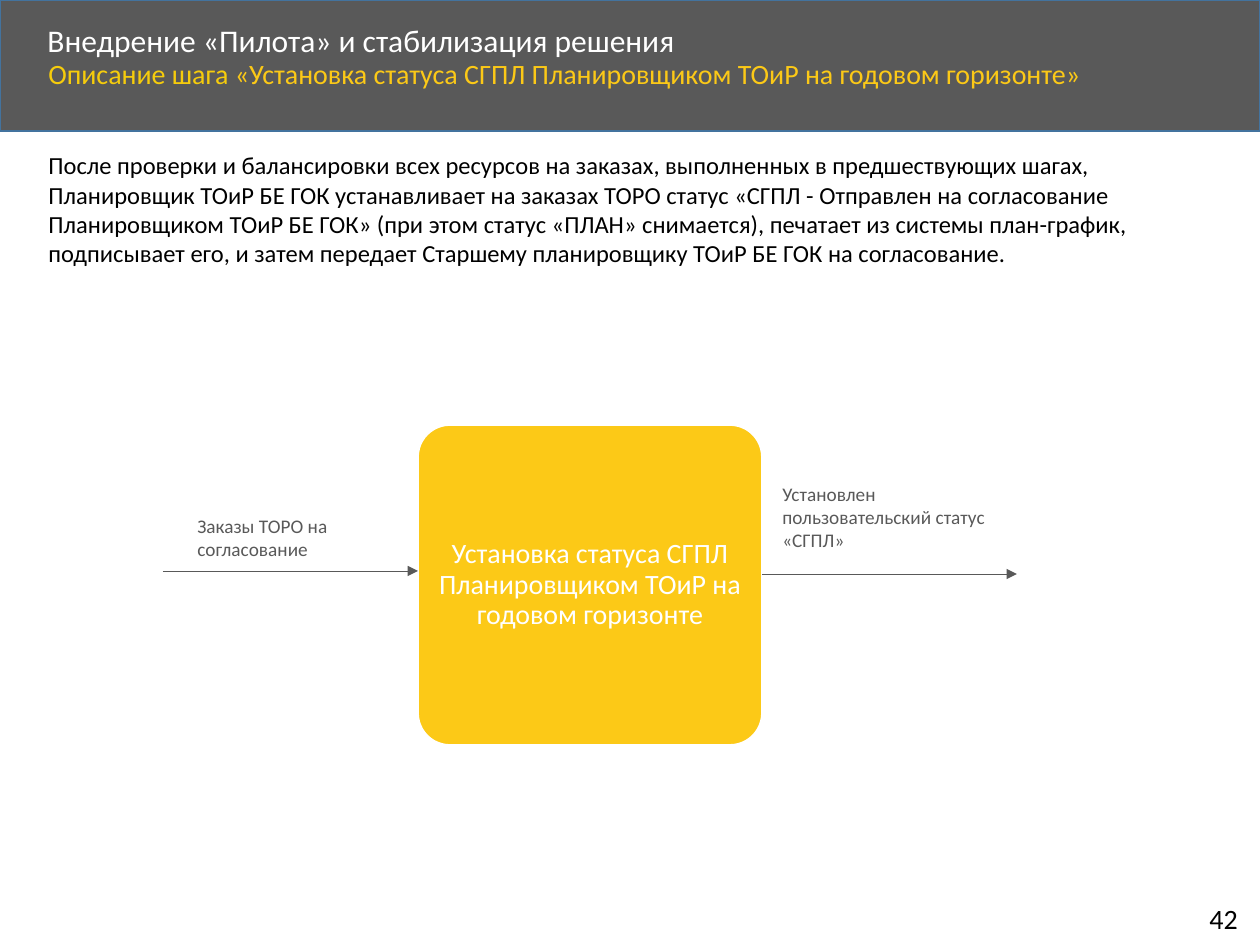
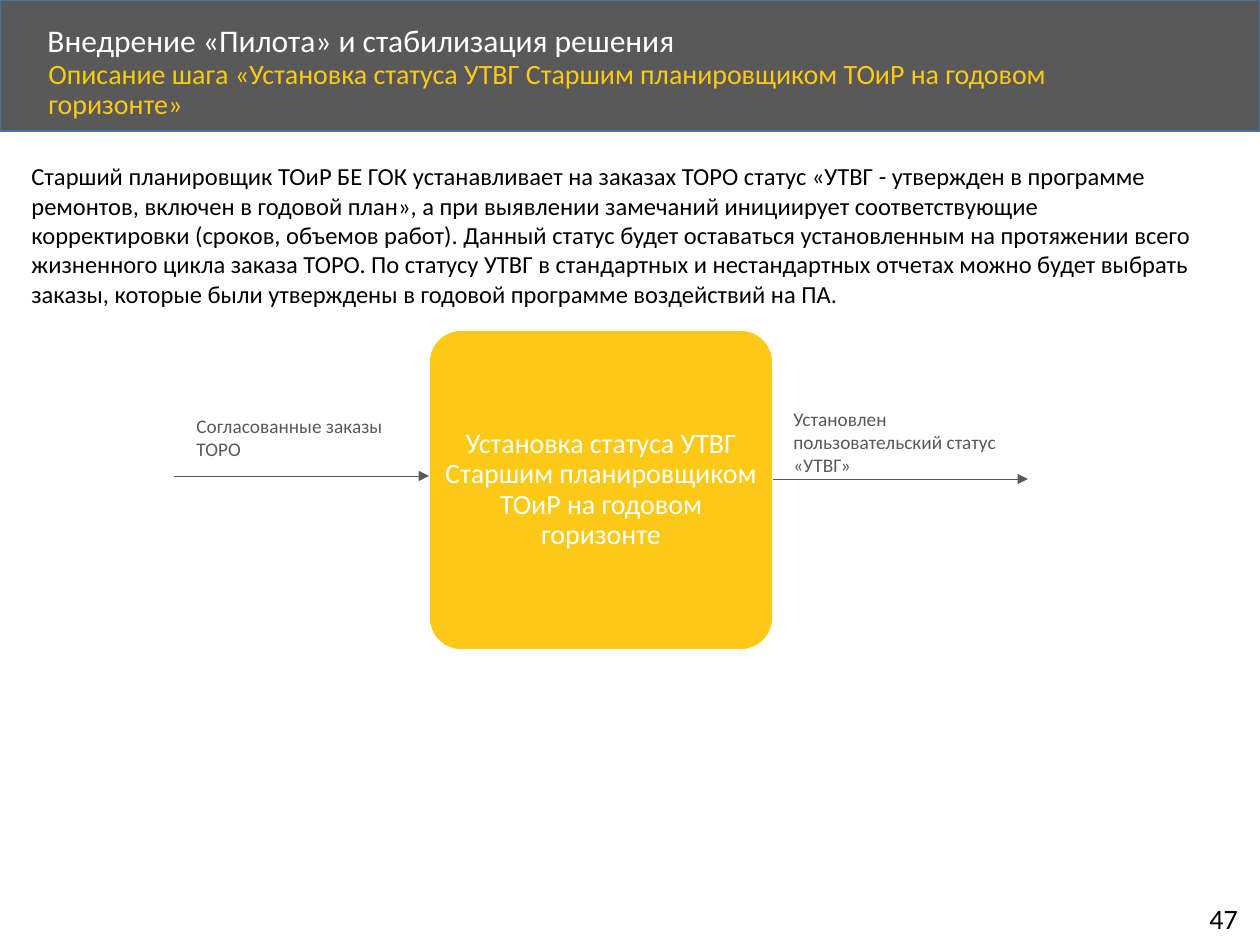
from lxml import etree
from pptx import Presentation
from pptx.dml.color import RGBColor
from pptx.enum import shapes, text
from pptx.oxml.ns import qn
from pptx.util import Emu, Pt

# Content: boxes are left, top, width, height in px
SECTION = "Внедрение «Пилота» и стабилизация решения"
SUBTITLE_LEAD = "Описание шага "
STEPS = [
    {
        "number": "42",
        "step": "Установка статуса СГПЛ Планировщиком ТОиР на годовом горизонте",
        "summary": "После проверки и балансировки всех ресурсов на заказах, выполненных в "
                   "предшествующих шагах, Планировщик ТОиР БЕ ГОК устанавливает на заказах "
                   "ТОРО статус «СГПЛ - Отправлен на согласование Планировщиком ТОиР БЕ ГОК» "
                   "(при этом статус «ПЛАН» снимается), печатает из системы план-график, "
                   "подписывает его, и затем передает Старшему планировщику ТОиР БЕ ГОК на "
                   "согласование.",
        "summary_box": (36, 144, 1192, 131),
        "card_at": (418, 425),
        "input": "Заказы ТОРО на согласование",
        "input_at": (185, 508),
        "output": "Установлен пользовательский статус «СГПЛ»",
        "output_top": 476,
    },
    {
        "number": "47",
        "step": "Установка статуса УТВГ Старшим планировщиком ТОиР на годовом горизонте",
        "summary": "Старший планировщик ТОиР БЕ ГОК устанавливает на заказах ТОРО статус "
                   "«УТВГ - утвержден в программе ремонтов, включен в годовой план», а при "
                   "выявлении замечаний инициирует соответствующие корректировки (сроков, "
                   "объемов работ). Данный статус будет оставаться установленным на протяжении "
                   "всего жизненного цикла заказа ТОРО. По статусу УТВГ в стандартных и "
                   "нестандартных отчетах можно будет выбрать заказы, которые были утверждены "
                   "в годовой программе воздействий на ПА.",
        "summary_box": (19, 155, 1192, 161),
        "card_at": (429, 330),
        "input": "Согласованные заказы ТОРО",
        "input_at": (184, 408),
        "output": "Установлен пользовательский статус «УТВГ»",
        "output_top": 401,
    },
]

# Shared look
COLORS = {"band": "595959", "band_line": "43739E", "lead": "F6CC0C",
          "accent": "FCC917", "white": "FFFFFF", "black": "000000"}
FONT = "Calibri"
SCALE = 914400 / 126
PAGE_WIDTH, PAGE_HEIGHT = 1260, 945
BAND_HEIGHT = 131
TITLE_BOX = (35, 18, 1017, 48)
SUBTITLE_BOX = (36, 54, 1092, 57)
NUMBER_BOX = (1197, 895, 58, 47)
CARD_WIDTH, CARD_HEIGHT = 344, 320
ARROW_LENGTH = 255
INPUT_DROP, OUTPUT_DROP = 146, 149
LABEL_WIDTH, INPUT_HEIGHT, OUTPUT_HEIGHT, LABEL_GAP = 252, 59, 83, 8


def px(*lengths):
    return [Emu(round(length * SCALE)) for length in lengths]


def rgb(name):
    return RGBColor.from_string(COLORS[name])


def style(span, size, color):
    span.font.name = FONT
    span.font.size = Pt(size)
    span.font.color.rgb = rgb(color)


def add_text(page, area, words, size, color, spacing=None, wrap=True):
    box = page.shapes.add_textbox(*px(*area))
    box.text_frame.word_wrap = wrap
    box.text_frame.text = words
    para = box.text_frame.paragraphs[0]
    if spacing:
        para.line_spacing = spacing
    style(para.runs[0], size, color)
    return box


def add_block(page, kind, area, fill, line):
    block = page.shapes.add_shape(kind, *px(*area))
    block.shadow.inherit = False
    block.fill.solid()
    block.fill.fore_color.rgb = rgb(fill)
    block.line.color.rgb = rgb(line)
    block.line.width = Pt(1)
    return block


def add_arrow(page, left, top):
    arrow = page.shapes.add_connector(
        shapes.MSO_CONNECTOR.STRAIGHT, *px(left, top, left + ARROW_LENGTH, top))
    arrow.line.color.rgb = rgb("band")
    arrow.line.width = Pt(0.5)
    etree.SubElement(arrow.line._get_or_add_ln(), qn("a:tailEnd"), type="triangle")
    etree.SubElement(arrow._element.spPr, qn("a:effectLst"))


def add_frame(page, step):
    """Header band, titles and page number."""
    add_block(page, shapes.MSO_SHAPE.RECTANGLE, (0, 0, PAGE_WIDTH, BAND_HEIGHT),
              "band", "band_line")
    title = add_text(page, TITLE_BOX, SECTION, 18, "white", 0.9)
    title.text_frame.vertical_anchor = text.MSO_ANCHOR.MIDDLE
    add_text(page, NUMBER_BOX, step["number"], 16, "black", wrap=False)
    subtitle = add_text(page, SUBTITLE_BOX, SUBTITLE_LEAD, 16, "lead", 0.9)
    span = subtitle.text_frame.paragraphs[0].add_run()
    span.text = f"«{step['step']}»"
    style(span, 16, "accent")


def add_card(page, step):
    card = add_block(page, shapes.MSO_SHAPE.ROUNDED_RECTANGLE,
                     (*step["card_at"], CARD_WIDTH, CARD_HEIGHT), "accent", "white")
    card.adjustments[0] = 0.1
    frame = card.text_frame
    frame.margin_left = frame.margin_right = frame.margin_top = frame.margin_bottom = 0
    frame.word_wrap = True
    frame.vertical_anchor = text.MSO_ANCHOR.MIDDLE
    frame.text = step["step"]
    para = frame.paragraphs[0]
    para.alignment = text.PP_ALIGN.CENTER
    para.line_spacing = 0.9
    style(para.runs[0], 16, "white")


def add_flow(page, step):
    """Input arrow, step card and output arrow with their labels."""
    left, top = step["card_at"]
    right = left + CARD_WIDTH
    add_card(page, step)
    add_arrow(page, left - ARROW_LENGTH, top + INPUT_DROP)
    add_arrow(page, right, top + OUTPUT_DROP)
    add_text(page, (*step["input_at"], LABEL_WIDTH, INPUT_HEIGHT),
             step["input"], 11, "band")
    add_text(page, (right + LABEL_GAP, step["output_top"], LABEL_WIDTH, OUTPUT_HEIGHT),
             step["output"], 11, "band")


def main():
    deck = Presentation()
    deck.slide_width, deck.slide_height = px(PAGE_WIDTH, PAGE_HEIGHT)
    for step in STEPS:
        page = deck.slides.add_slide(deck.slide_layouts[6])
        add_frame(page, step)
        add_flow(page, step)
        add_text(page, step["summary_box"], step["summary"], 14, "black")
    deck.save("out.pptx")


if __name__ == "__main__":
    main()
